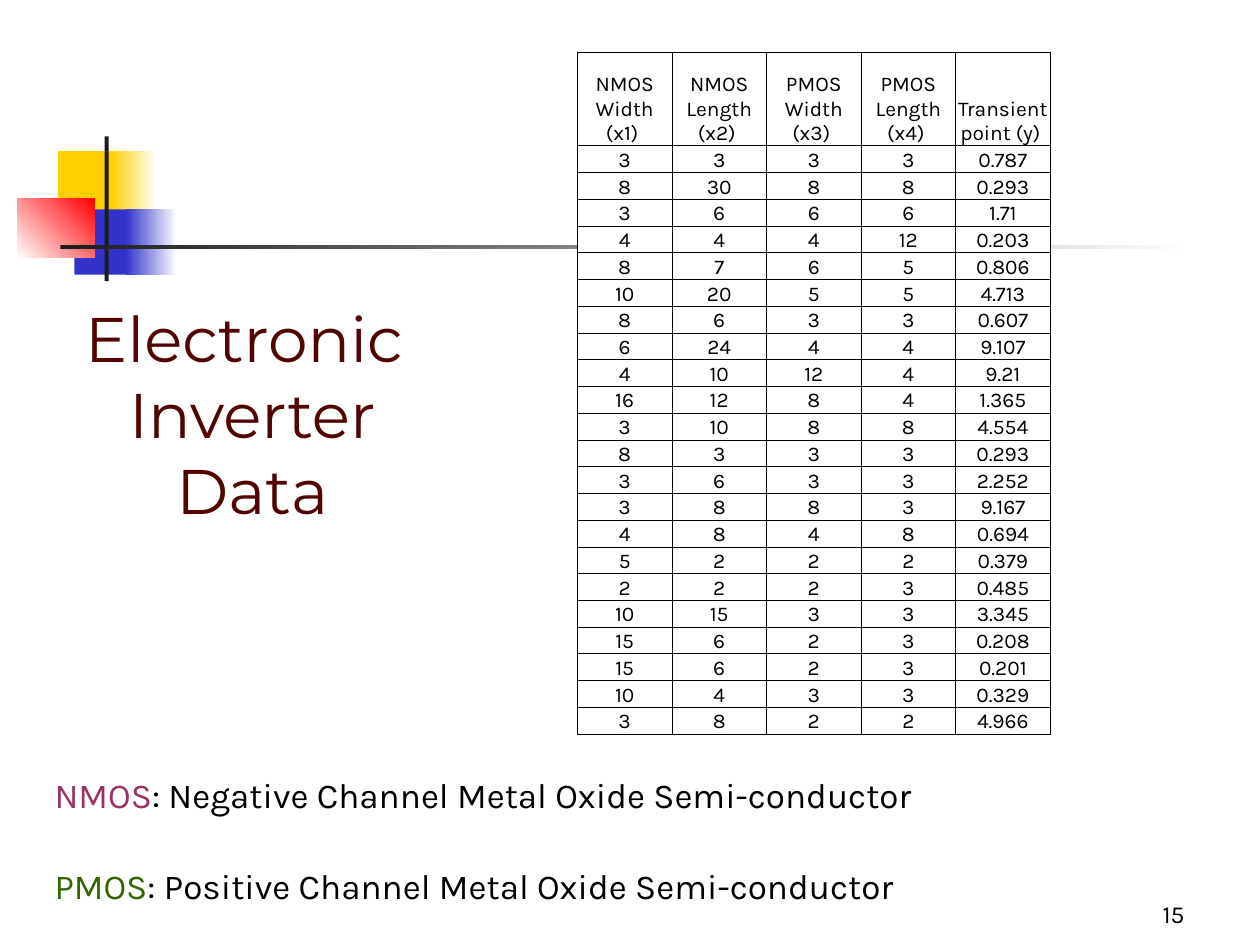
import pptx
import pptx.util
import pptx.dml.color
import pptx.enum.shapes
import pptx.enum.text
import pptx.oxml

Cm, Pt = pptx.util.Cm, pptx.util.Pt
Rgb = pptx.dml.color.RGBColor.from_string
Align = pptx.enum.text.PP_ALIGN
Anchor = pptx.enum.text.MSO_ANCHOR
Fit = pptx.enum.text.MSO_AUTO_SIZE


class Theme:
    head, body = "Montserrat", "Karla"
    white, black, ink = "FFFFFF", "000000", "1C1C1C"
    gold, blue, red = "FFCF01", "3333CC", "FF0000"
    title, nmos, pmos = "520402", "993366", "336600"
    big, mid, page, small = 36, 20, 14, 12


def write(par, text, font=Theme.body, size=Theme.small, color=Theme.black, align=Align.LEFT):
    """Add one run to a paragraph."""
    par.alignment = align
    run = par.add_run()
    run.text = text
    run.font.name, run.font.size = font, Pt(size)
    run.font.color.rgb = Rgb(color)


def edge(cell):
    """Draw a thin black line on all four sides of a cell."""
    for side in ("lnL", "lnR", "lnT", "lnB"):
        cell._tc.get_or_add_tcPr().append(pptx.oxml.parse_xml(
            f'<a:{side} xmlns:a="http://schemas.openxmlformats.org/drawingml/2006/main" w="6350">'
            f'<a:solidFill><a:srgbClr val="{Theme.black}"/></a:solidFill></a:{side}>'))


deck = pptx.Presentation()
deck.slide_width, deck.slide_height = Cm(25.4), Cm(19.05)
slide = deck.slides.add_slide(deck.slide_layouts[5])
shapes = slide.shapes

# Corner ornament: left, top, width, height, colours, angle
blocks = [
    (1.17, 3.05, 1.22, 1.32, [Theme.gold], 0),
    (2.24, 3.05, 0.91, 1.32, [Theme.gold, Theme.white], 0),
    (1.5, 4.22, 1.17, 1.32, [Theme.blue], 0),
    (2.54, 4.22, 1.02, 1.32, [Theme.blue, Theme.white], 0),
    (0.35, 4.01, 1.56, 1.18, [Theme.white, Theme.red], 45),
    (2.11, 2.75, 0.08, 2.92, [Theme.ink], 0),
    (1.22, 4.94, 22.86, 0.09, [Theme.ink, Theme.white], 0),
]
for *box, tints, angle in blocks:
    block = shapes.add_shape(pptx.enum.shapes.MSO_SHAPE.RECTANGLE, *map(Cm, box))
    block.shadow.inherit = False
    block.line.fill.background()
    if len(tints) == 1:
        block.fill.solid()
        block.fill.fore_color.rgb = Rgb(tints[0])
    else:
        block.fill.gradient()
        block.fill.gradient_angle = angle
        for stop, tint in zip(block.fill.gradient_stops, tints):
            stop.color.rgb = Rgb(tint)

# Title
title = shapes.title
title.left, title.top, title.width, title.height = Cm(0.64), Cm(5.92), Cm(8.89), Cm(7.42)
title.fill.solid()
title.fill.fore_color.rgb = Rgb(Theme.white)
frame = title.text_frame
frame.word_wrap, frame.auto_size = False, Fit.NONE
frame.vertical_anchor = Anchor.TOP
for i, line in enumerate(["Electronic ", "Inverter", "Data"]):
    par = frame.add_paragraph() if i else frame.paragraphs[0]
    write(par, line, font=Theme.head, size=Theme.big, color=Theme.title, align=Align.CENTER)

# Page number
frame = shapes.add_textbox(Cm(18.85), Cm(17.58), Cm(5.28), Cm(1.27)).text_frame
frame.word_wrap = True
frame.vertical_anchor = Anchor.BOTTOM
write(frame.paragraphs[0], "15", size=Theme.page, align=Align.RIGHT)

# Terms
frame = shapes.add_textbox(Cm(0.85), Cm(15.46), Cm(21.39), Cm(3)).text_frame
frame.word_wrap = True
terms = [("NMOS", "Negative", Theme.nmos), ("PMOS", "Positive", Theme.pmos)]
for i, (term, sign, tint) in enumerate(terms):
    par = frame.add_paragraph() if i else frame.paragraphs[0]
    par.space_before = Pt(28.5 * i)
    write(par, term, size=Theme.mid, color=tint)
    write(par, f": {sign} Channel Metal Oxide Semi-conductor", size=Theme.mid)

# Inverter data
heads = ["NMOS Width (x1) ", "NMOS Length (x2) ", "PMOS Width (x3) ",
         "PMOS Length (x4) ", "Transient point (y) "]
data = """3 3 3 3 0.787
8 30 8 8 0.293
3 6 6 6 1.71
4 4 4 12 0.203
8 7 6 5 0.806
10 20 5 5 4.713
8 6 3 3 0.607
6 24 4 4 9.107
4 10 12 4 9.21
16 12 8 4 1.365
3 10 8 8 4.554
8 3 3 3 0.293
3 6 3 3 2.252
3 8 8 3 9.167
4 8 4 8 0.694
5 2 2 2 0.379
2 2 2 3 0.485
10 15 3 3 3.345
15 6 2 3 0.208
15 6 2 3 0.201
10 4 3 3 0.329
3 8 2 2 4.966"""
rows = [heads] + [line.split() for line in data.splitlines()]
tall, top = Cm(13.56), Cm(1.88)
grid = shapes.add_table(len(rows), len(heads), Cm(11.64), Cm(1.06), Cm(9.53), tall).table
for r, row in enumerate(rows):
    grid.rows[r].height = (tall - top) // (len(rows) - 1) if r else top
    for c, text in enumerate(row):
        cell = grid.cell(r, c)
        cell.margin_left = cell.margin_right = cell.margin_top = Cm(0.03)
        cell.margin_bottom = 0
        cell.vertical_anchor = Anchor.BOTTOM
        edge(cell)
        cell.fill.solid()
        cell.fill.fore_color.rgb = Rgb(Theme.white)
        par = cell.text_frame.paragraphs[0]
        write(par, text, align=Align.CENTER)
        par.runs[0].font.bold = False

deck.save("out.pptx")
